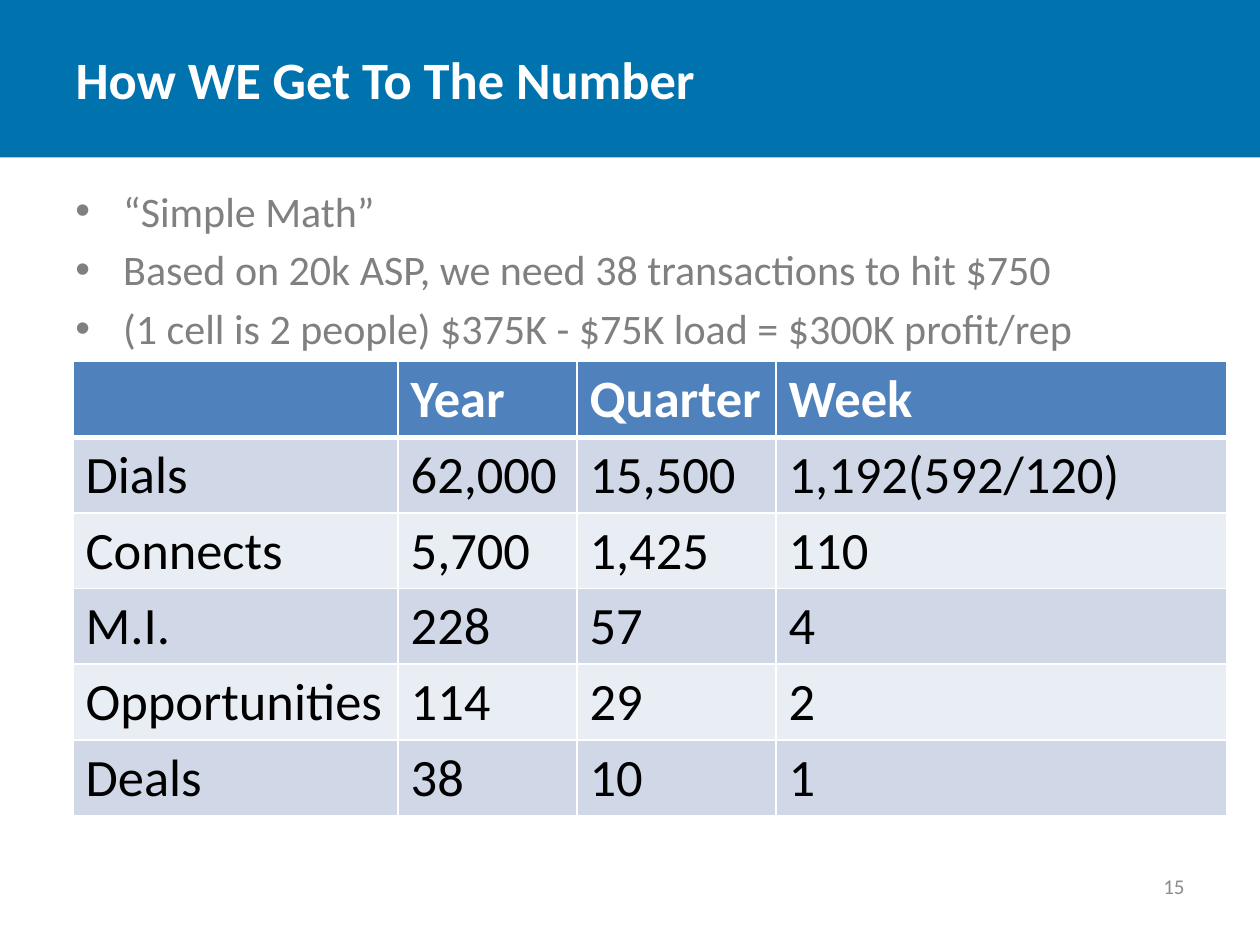
import pptx
import pptx.dml.color
import pptx.enum.shapes
import pptx.enum.text
import pptx.oxml.ns
import pptx.util
from lxml import etree

Inches, Pt = pptx.util.Inches, pptx.util.Pt
RGBColor = pptx.dml.color.RGBColor
ALIGN = pptx.enum.text.PP_ALIGN
ANCHOR = pptx.enum.text.MSO_ANCHOR
qn = pptx.oxml.ns.qn

WHITE = RGBColor(0xFF, 0xFF, 0xFF)
BLACK = RGBColor(0x00, 0x00, 0x00)
BAND_BLUE = RGBColor(0x00, 0x73, 0xAE)
BODY_GREY = RGBColor(0x80, 0x80, 0x80)
NUMBER_GREY = RGBColor(0x8C, 0x8C, 0x8C)
HEADER_BLUE = RGBColor(0x4F, 0x81, 0xBD)
ROW_DARK = RGBColor(0xD0, 0xD8, 0xE8)
ROW_LIGHT = RGBColor(0xE9, 0xED, 0xF4)

TITLE = "How WE Get To The Number"
BULLETS = [
    "“Simple Math”",
    "Based on 20k ASP, we need 38 transactions to hit $750",
    "(1 cell is 2 people) $375K - $75K load = $300K profit/rep",
]
ROWS = [
    ["", "Year", "Quarter", "Week"],
    ["Dials", "62,000", "15,500", "1,192(592/120)"],
    ["Connects", "5,700", "1,425", "110"],
    ["M.I.", "228", "57", "4"],
    ["Opportunities", "114", "29", "2"],
    ["Deals", "38", "10", "1"],
]
COL_WIDTHS = [2.58, 1.42, 1.58, 3.58]
ROW_HEIGHT = 0.6


def write(p, text, font="Calibri", size=30, color=BLACK, bold=False, align=ALIGN.LEFT):
    p.alignment = align
    p.font.size = Pt(size)
    if text:
        r = p.add_run()
        r.text = text
        r.font.name = font
        r.font.size = Pt(size)
        r.font.bold = bold
        r.font.color.rgb = color


def add_bullet(p, indent):
    pPr = p._p.get_or_add_pPr()
    pPr.set("marL", str(Inches(indent)))
    pPr.set("indent", str(-Inches(indent)))
    font = etree.Element(qn("a:buFont"), typeface="Arial")
    char = etree.Element(qn("a:buChar"), char="•")
    pPr.insert_element_before(font, "a:tabLst", "a:defRPr", "a:extLst")
    pPr.insert_element_before(char, "a:tabLst", "a:defRPr", "a:extLst")


def set_border(cell, side, color, width):
    """Draw one side (L, R, T or B) of a cell; call before filling the cell."""
    ln = etree.SubElement(cell._tc.get_or_add_tcPr(), qn(f"a:ln{side}"), w=str(Pt(width)))
    fill = etree.SubElement(ln, qn("a:solidFill"))
    etree.SubElement(fill, qn("a:srgbClr"), val=str(color))


class SlideBuilder:
    def __init__(self, prs):
        self.s = prs.slides.add_slide(prs.slide_layouts[5])

    def band(self, x, y, w, h, color):
        """Add a plain rectangle behind everything else."""
        sp = self.s.shapes.add_shape(
            pptx.enum.shapes.MSO_SHAPE.RECTANGLE, Inches(x), Inches(y), Inches(w), Inches(h))
        sp.shadow.inherit = False
        sp.fill.solid()
        sp.fill.fore_color.rgb = color
        sp.line.fill.background()
        self.s.shapes._spTree.insert(2, sp._element)

    def title(self, text, x, y, w, h):
        sp = self.s.shapes.title
        sp.left, sp.top, sp.width, sp.height = Inches(x), Inches(y), Inches(w), Inches(h)
        tf = sp.text_frame
        tf.auto_size = pptx.enum.text.MSO_AUTO_SIZE.NONE
        tf.vertical_anchor = ANCHOR.MIDDLE
        write(tf.paragraphs[0], text, color=WHITE, bold=True)

    def text_box(self, x, y, w, h, lines, anchor=ANCHOR.TOP, bullet_indent=0, space=0, **style):
        tf = self.s.shapes.add_textbox(Inches(x), Inches(y), Inches(w), Inches(h)).text_frame
        tf.word_wrap = True
        tf.vertical_anchor = anchor
        for i, line in enumerate(lines):
            p = tf.add_paragraph() if i else tf.paragraphs[0]
            p.space_before = Pt(space)
            write(p, line, **style)
            if bullet_indent:
                add_bullet(p, bullet_indent)

    def table(self, x, y, rows, widths, row_height):
        table = self.s.shapes.add_table(
            len(rows), len(widths), Inches(x), Inches(y),
            Inches(sum(widths)), Inches(row_height * len(rows))).table
        for column, width in zip(table.columns, widths):
            column.width = Inches(width)
        for i, values in enumerate(rows):
            table.rows[i].height = Inches(row_height)
            header = i == 0
            fill = HEADER_BLUE if header else ROW_DARK if i % 2 else ROW_LIGHT
            for j, value in enumerate(values):
                cell = table.cell(i, j)
                for side in "LRTB":
                    thick = (header and side == "B") or (i == 1 and side == "T")
                    set_border(cell, side, WHITE, 3 if thick else 1)
                cell.fill.solid()
                cell.fill.fore_color.rgb = fill
                write(cell.text_frame.paragraphs[0], value,
                      color=WHITE if header else BLACK, bold=header)


def main():
    prs = pptx.Presentation()
    prs.slide_width, prs.slide_height = Inches(10), Inches(7.5)
    slide = SlideBuilder(prs)
    slide.band(0, 0, 10, 1.25, BAND_BLUE)
    slide.title(TITLE, 0.5, 0, 9, 1.25)
    slide.text_box(0.5, 1.42, 9, 5.08, BULLETS, bullet_indent=0.38, space=4.8,
                   size=24, color=BODY_GREY)
    slide.table(0.58, 2.87, ROWS, COL_WIDTHS, ROW_HEIGHT)
    slide.text_box(7.17, 6.83, 2.33, 0.4, ["15"], anchor=ANCHOR.MIDDLE,
                   size=12, color=NUMBER_GREY, align=ALIGN.RIGHT)
    prs.save("out.pptx")


if __name__ == "__main__":
    main()
